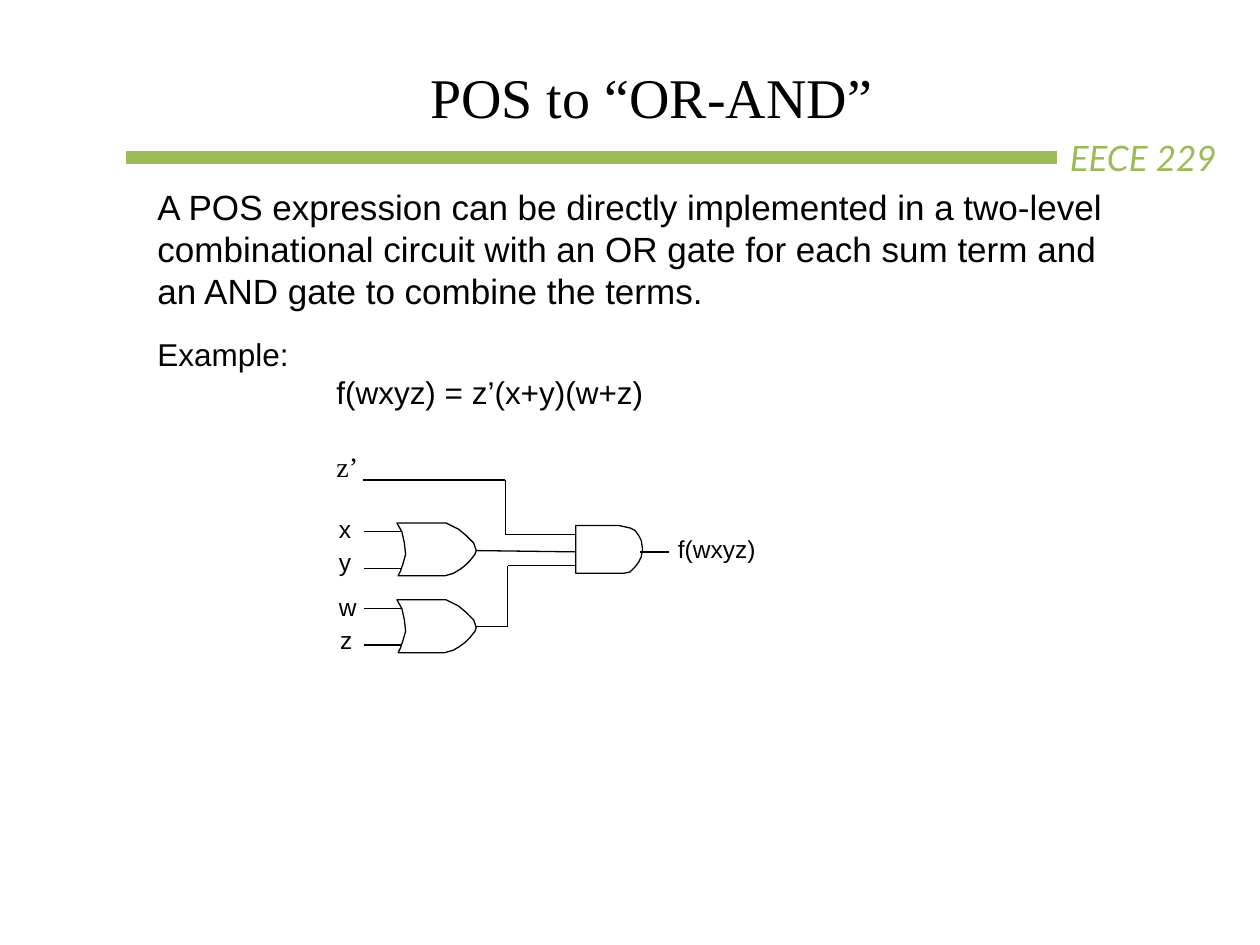
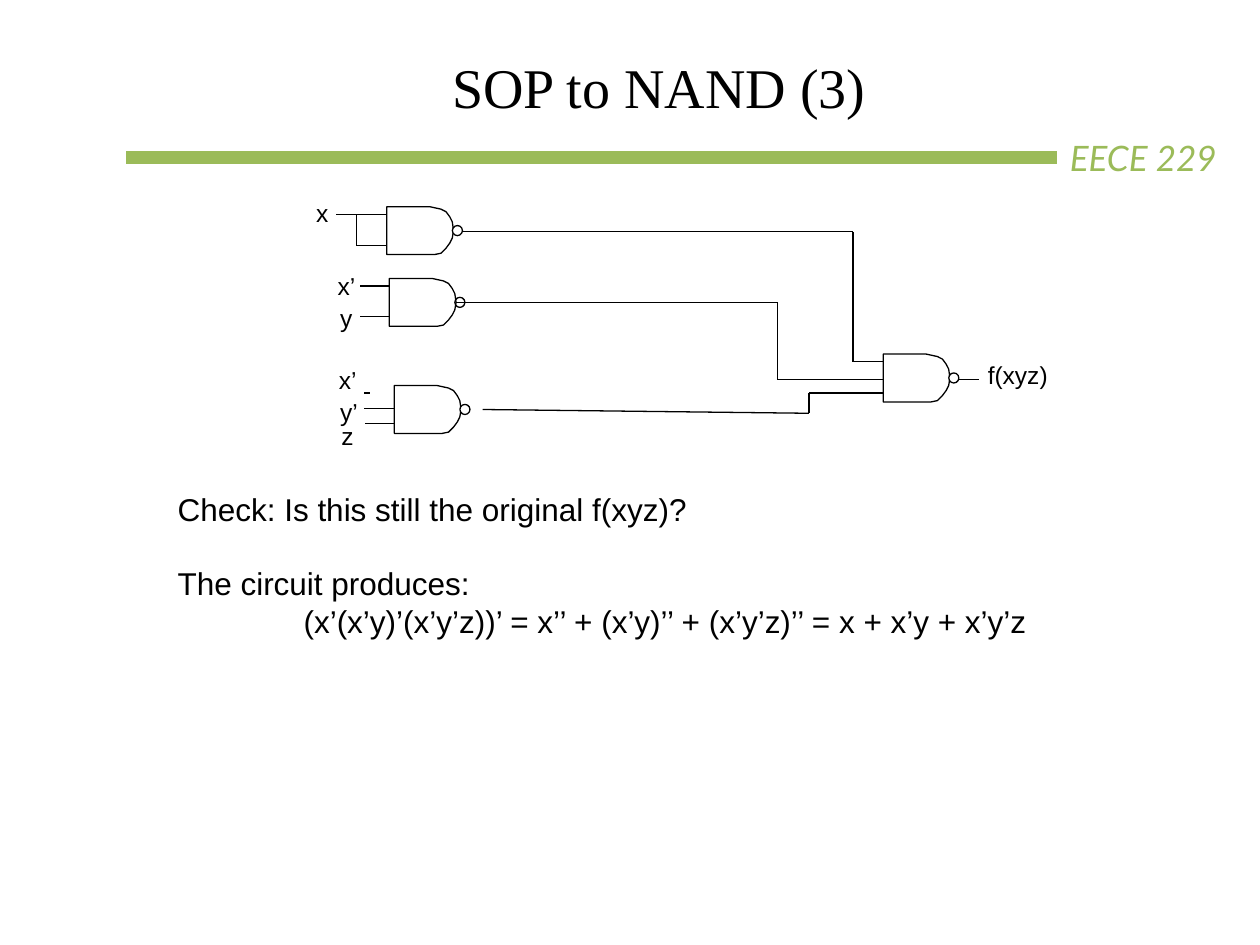
from itertools import pairwise

from lxml.etree import SubElement
from pptx import Presentation
from pptx.dml.color import RGBColor
from pptx.enum.shapes import MSO_CONNECTOR as Connector, MSO_SHAPE as Shape
from pptx.enum.text import MSO_ANCHOR as Anchor, PP_ALIGN as Align
from pptx.oxml.ns import qn
from pptx.util import Inches, Pt

# Shared look; all lengths are inches, type sizes and line widths points
COLORS = {"ink": "000000", "accent": "9BBB59", "paper": "FFFFFF"}
SERIF, SANS, COURSE_FONT = "Times New Roman", "Arial", "Lato"
WIDTH, HEIGHT = 10, 7.5
TITLE_WIDTH, TITLE_HEIGHT = 6.46, 0.7
RULE_LEFT, RULE_RIGHT, RULE_Y = 1, 8.39, 1.25
COURSE = "EECE 229"
WIRE = 0.75

# Gate outlines, measured from each gate's top left corner
OR_GATE = [(0, 0), (0.04, 0.07), (0.06, 0.16), (0.07, 0.25), (0.05, 0.32),
           (0.03, 0.38), (0.01, 0.42), (0.38, 0.42), (0.45, 0.4), (0.5, 0.37),
           (0.54, 0.34), (0.58, 0.3), (0.62, 0.25), (0.63, 0.22), (0.61, 0.16),
           (0.55, 0.1), (0.49, 0.05), (0.45, 0.03), (0.39, 0)]
AND_GATE = [(0, 0), (0, 0.38), (0.38, 0.38), (0.43, 0.37), (0.47, 0.33),
            (0.5, 0.29), (0.52, 0.25), (0.53, 0.19), (0.52, 0.12), (0.5, 0.08),
            (0.47, 0.04), (0.43, 0.02), (0.34, 0)]
BUBBLE_OFFSET, BUBBLE_SIZE = (0.52, 0.15), 0.08
OR_INPUTS, OR_STUB = (0.07, 0.36), (-0.26, 0.03)

OR_CORNERS = [(3.15, 4.15), (3.15, 4.76)]

# Text blocks: place, type and paragraphs of (text, indent, space before)
# Gates: outline, corner, bubble ("solid", "clear" or None)
SLIDES = [
    {
        "title": ("POS to “OR-AND”", 5.17, 0.33),
        "texts": [
            {"at": (1.24, 1.47, 7.74, 1.01), "size": 20, "lines": [
                ("A POS expression can be directly implemented in a two-level "
                 "combinational circuit with an OR gate for each sum term and "
                 "an AND gate to combine the terms.", 0.01, 0)]},
            {"at": (1.24, 2.66, 4.6, 0.61), "size": 18, "lines": [
                ("Example:", 0.01, 0), ("f(wxyz) = z’(x+y)(w+z)", 1.43, 0)]},
            {"at": (2.67, 4.05, 0.17, 1.15), "spacing": 1.12, "lines": [
                ("x", 0.02, 0), ("y", 0.02, 0), ("w", 0.02, 7), ("z", 0.03, 0)]},
            {"at": (5.37, 4.24, 0.64, 0.25), "lines": [("f(wxyz)", 0.01, 0)]},
            {"at": (2.67, 3.57, 0.25, 0.27), "size": 16, "font": SERIF,
             "lines": [("z’", 0, 0)]},
        ],
        "wires": [
            [(2.88, 3.81), (4.01, 3.81), (4.01, 4.24), (4.57, 4.24)],
            [(3.78, 4.37), (4.57, 4.38)],
            [(3.78, 4.97), (4.03, 4.97), (4.03, 4.49), (4.57, 4.49)],
            [(5.08, 4.38), (5.31, 4.38)],
        ] + [[(x + stub, y + drop) for stub in OR_STUB]
             for x, y in OR_CORNERS for drop in OR_INPUTS],
        "gates": [(OR_GATE, corner, None) for corner in OR_CORNERS]
                 + [(AND_GATE, (4.57, 4.17), None)],
    },
    {
        "title": ("SOP to NAND (3)", 5.23, 0.25),
        "texts": [
            {"at": (2.5, 1.57, 0.2, 0.25), "lines": [("x", 0.01, 0)]},
            {"at": (2.68, 2.13, 0.2, 0.5), "spacing": 1.09, "lines": [
                ("x’", 0, 0), ("y", 0.02, 0)]},
            {"at": (2.68, 2.9, 0.2, 0.25), "lines": [("x’", 0.01, 0)]},
            {"at": (2.69, 3.2, 0.16, 0.38), "spacing": 0.79, "lines": [
                ("y’", 0.01, 0), ("z", 0.02, 0)]},
            {"at": (7.83, 2.86, 0.5, 0.25), "lines": [("f(xyz)", 0.01, 0)]},
            {"at": (1.4, 3.89, 7.1, 1.21), "size": 18, "lines": [
                ("Check: Is this still the original f(xyz)?", 0.01, 0),
                ("The circuit produces:", 0.01, 20.8),
                ("(x’(x’y)’(x’y’z))’ = x’’ + (x’y)’’ + (x’y’z)’’ "
                 "= x + x’y + x’y’z", 1.01, 0)]},
        ],
        "wires": [
            # inputs
            [(2.67, 1.7), (3.07, 1.7)],
            [(2.83, 1.7), (2.83, 1.95), (3.07, 1.95)],
            [(2.86, 2.27), (3.09, 2.27)],
            [(2.86, 2.51), (3.09, 2.51)],
            [(2.89, 3.12), (2.94, 3.12)],
            [(2.89, 3.24), (3.13, 3.24)],
            [(2.9, 3.36), (3.13, 3.36)],
            # between the gates
            [(3.6, 1.84), (6.77, 1.84), (6.77, 2.87), (7.01, 2.87)],
            [(3.62, 2.4), (6.17, 2.4), (6.17, 3.01), (7.01, 3.01)],
            [(3.83, 3.25), (6.42, 3.28), (6.42, 3.12), (7.01, 3.12)],
            # output
            [(7.54, 3.01), (7.77, 3.01)],
        ],
        "gates": [(AND_GATE, (3.07, 1.64), "solid"),
                  (AND_GATE, (3.09, 2.21), "clear"),
                  (AND_GATE, (3.13, 3.06), "solid"),
                  (AND_GATE, (7.01, 2.81), "solid")],
    },
]


def rgb(name):
    return RGBColor.from_string(COLORS[name])


def add_text(slide, at, lines, size=14, font=SANS, color="ink", spacing=None,
             align=Align.LEFT, italic=False):
    box = slide.shapes.add_textbox(*map(Inches, at))
    frame = box.text_frame
    frame.word_wrap = True
    frame.margin_left = frame.margin_top = 0
    frame.margin_right = frame.margin_bottom = 0
    for index, (words, indent, before) in enumerate(lines):
        para = frame.paragraphs[0] if index == 0 else frame.add_paragraph()
        para.alignment = align
        para._p.get_or_add_pPr().set("marL", str(Inches(indent)))
        if before:
            para.space_before = Pt(before)
        if spacing:
            para.line_spacing = spacing
        span = para.add_run()
        span.text = words
        span.font.size, span.font.name = Pt(size), font
        span.font.italic = italic
        span.font.color.rgb = rgb(color)
    return frame


def add_line(slide, start, end, color="ink", width=WIRE):
    line = slide.shapes.add_connector(Connector.STRAIGHT,
                                      *map(Inches, (*start, *end)))
    line.line.color.rgb = rgb(color)
    line.line.width = Pt(width)
    SubElement(line._element.spPr, qn("a:effectLst"))


def outline(shape, filled=False):
    shape.shadow.inherit = False
    shape.line.color.rgb = rgb("ink")
    shape.line.width = Pt(WIRE)
    if filled:
        shape.fill.solid()
        shape.fill.fore_color.rgb = rgb("paper")
    else:
        shape.fill.background()


def add_gate(slide, profile, corner, bubble):
    left, top = corner
    points = [(Inches(left + x), Inches(top + y)) for x, y in profile]
    builder = slide.shapes.build_freeform(*points[0])
    builder.add_line_segments(points[1:], close=True)
    outline(builder.convert_to_shape())
    if bubble:
        dx, dy = BUBBLE_OFFSET
        place = (left + dx, top + dy, BUBBLE_SIZE, BUBBLE_SIZE)
        outline(slide.shapes.add_shape(Shape.OVAL, *map(Inches, place)),
                filled=bubble == "solid")


def add_frame(slide, title, center, top):
    # Green rule, course name and slide title
    add_line(slide, (RULE_LEFT, RULE_Y), (RULE_RIGHT, RULE_Y), "accent", 8)
    add_text(slide, (RULE_RIGHT + 0.1, 1.08, WIDTH - RULE_RIGHT - 0.1, 0.34),
             [(COURSE, 0, 0)], 20, COURSE_FONT, "accent", italic=True)
    place = (center - TITLE_WIDTH / 2, top, TITLE_WIDTH, TITLE_HEIGHT)
    frame = add_text(slide, place, [(title, 0, 0)], 32, SERIF,
                     align=Align.CENTER)
    frame.margin_top = Inches(0.16)
    frame.vertical_anchor = Anchor.MIDDLE


def main():
    deck = Presentation()
    deck.slide_width, deck.slide_height = Inches(WIDTH), Inches(HEIGHT)
    for page in SLIDES:
        slide = deck.slides.add_slide(deck.slide_layouts[6])
        add_frame(slide, *page["title"])
        for block in page["texts"]:
            add_text(slide, **block)
        for wire in page["wires"]:
            for start, end in pairwise(wire):
                add_line(slide, start, end)
        for gate in page["gates"]:
            add_gate(slide, *gate)
    deck.save("out.pptx")


if __name__ == "__main__":
    main()
